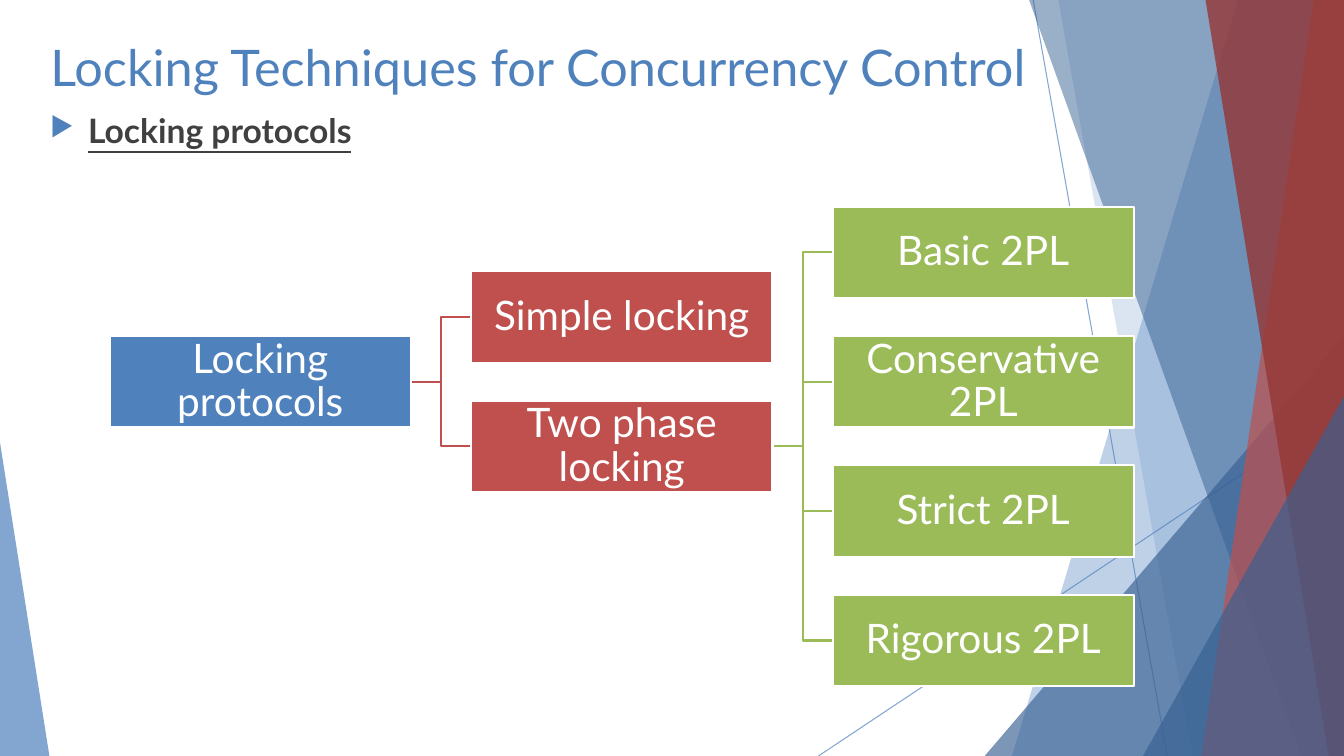
from lxml import etree
from pptx import Presentation
from pptx.dml.color import RGBColor
from pptx.enum.shapes import MSO_CONNECTOR as Connector, MSO_SHAPE as Shape
from pptx.enum.text import MSO_ANCHOR as Anchor, MSO_AUTO_SIZE as AutoSize, PP_ALIGN as Align
from pptx.oxml.ns import qn
from pptx.util import Pt

BLUE = RGBColor(0x4F, 0x81, 0xBD)
DARK_BLUE = RGBColor(0x37, 0x60, 0x92)
RED = RGBColor(0xC0, 0x50, 0x4D)
DARK_RED = RGBColor(0x95, 0x37, 0x35)
GREEN = RGBColor(0x9B, 0xBB, 0x59)
GRAY = RGBColor(0x40, 0x40, 0x40)
WHITE = RGBColor(0xFF, 0xFF, 0xFF)

WIDTH, HEIGHT = 960, 540
TREE_LEFT, TREE_TOP = 78.4, 147.6
COLUMN_PITCH, ROW_PITCH = 258.2, 92.4
BOX_WIDTH, BOX_HEIGHT = 215.2, 65.4


class SlideBuilder:
    font_name = "Lato"

    def __init__(self, slide):
        self.slide = slide
        self.shapes = slide.shapes

    def style_text(self, paragraph, size, color, align):
        paragraph.alignment = align
        font = paragraph.font
        font.name, font.size = self.font_name, Pt(size)
        font.color.rgb = color
        return font

    def set_opacity(self, shape, percent):
        for color in shape._element.spPr.iter(qn("a:srgbClr")):
            etree.SubElement(color, qn("a:alpha"), val=str(percent * 1000))

    def paint(self, shape, color, opacity):
        """Give a decorative shape a translucent fill without outline."""
        shape.shadow.inherit = False
        shape.fill.solid()
        shape.fill.fore_color.rgb = color
        shape.line.fill.background()
        self.set_opacity(shape, opacity)

    def band(self, top_x, bottom_x, color, opacity):
        """Fill from a slanted left edge to the right side of the slide."""
        builder = self.shapes.build_freeform(Pt(top_x), Pt(0))
        builder.add_line_segments(
            [(Pt(x), Pt(y)) for x, y in ((WIDTH, 0), (WIDTH, HEIGHT), (bottom_x, HEIGHT))])
        self.paint(builder.convert_to_shape(), color, opacity)

    def triangle(self, left, top, width, apex, color, opacity):
        """Stand a triangle on the bottom edge of the slide."""
        shape = self.shapes.add_shape(
            Shape.ISOSCELES_TRIANGLE, Pt(left), Pt(top), Pt(width), Pt(HEIGHT - top))
        shape.adjustments[0] = apex
        self.paint(shape, color, opacity)

    def connector(self, kind, start, end, color, width):
        line = self.shapes.add_connector(kind, *(Pt(value) for value in (*start, *end)))
        line.line.color.rgb = color
        line.line.width = Pt(width)
        etree.SubElement(line._element.spPr, qn("a:effectLst"))
        return line

    def hairline(self, start, end):
        self.set_opacity(self.connector(Connector.STRAIGHT, start, end, BLUE, 0.75), 70)

    def title(self, text):
        title = self.shapes.title
        title.left, title.top, title.width, title.height = Pt(28.8), Pt(22.3), Pt(781), Pt(103.7)
        frame = title.text_frame
        frame.text = text
        frame.auto_size = AutoSize.NONE
        frame.vertical_anchor = Anchor.TOP
        self.style_text(frame.paragraphs[0], 36, BLUE, Align.LEFT)

    def bullet(self, text):
        frame = self.shapes.add_textbox(Pt(28.8), Pt(74.9), Pt(808), Pt(421)).text_frame
        frame.word_wrap = True
        frame.text = text
        paragraph = frame.paragraphs[0]
        properties = paragraph._p.get_or_add_pPr()
        properties.set("marL", str(Pt(27)))
        properties.set("indent", str(-Pt(27)))
        bullet_color = etree.SubElement(properties, qn("a:buClr"))
        etree.SubElement(bullet_color, qn("a:srgbClr"), val=str(BLUE))
        etree.SubElement(properties, qn("a:buSzPct"), val="80000")
        etree.SubElement(properties, qn("a:buChar"), char="▶")
        font = self.style_text(paragraph, 24, GRAY, Align.JUSTIFY)
        font.bold = font.underline = True

    def box(self, text, column, row, color):
        shape = self.shapes.add_shape(
            Shape.RECTANGLE, Pt(TREE_LEFT + column * COLUMN_PITCH),
            Pt(TREE_TOP + row * ROW_PITCH), Pt(BOX_WIDTH), Pt(BOX_HEIGHT))
        shape.shadow.inherit = False
        shape.fill.solid()
        shape.fill.fore_color.rgb = color
        shape.line.color.rgb = WHITE
        shape.line.width = Pt(1.5)
        frame = shape.text_frame
        frame.word_wrap = True
        frame.vertical_anchor = Anchor.MIDDLE
        frame.margin_left = frame.margin_right = Pt(1.4)
        frame.margin_top = frame.margin_bottom = Pt(1.4)
        frame.text = text
        paragraph = frame.paragraphs[0]
        paragraph.line_spacing = 0.9
        self.style_text(paragraph, 29, WHITE, Align.CENTER)
        return shape

    def branch(self, parent, child, color):
        """Join two boxes with an elbow that lies behind the parent."""
        line = self.connector(Connector.ELBOW, (0, 0), (0, 0), color, 1.5)
        line.begin_connect(parent, 3)
        line.end_connect(child, 1)
        parent._element.addprevious(line._element)


def draw_backdrop(builder):
    builder.hairline((738, 0), (833.8, HEIGHT))
    builder.hairline((WIDTH, 290.2), (584.6, HEIGHT))
    builder.band(884.2, 722.9, BLUE, 36)
    builder.band(756, 851.8, BLUE, 20)
    builder.triangle(703.4, 239.8, 256.6, 1, DARK_BLUE, 66)
    builder.band(735.1, 929.5, DARK_BLUE, 50)
    builder.band(938.2, 858.2, RED, 70)
    builder.band(861.1, 949, DARK_RED, 80)
    builder.triangle(816.5, 283, 143.5, 1, DARK_BLUE, 66)
    builder.triangle(0, 316.1, 35.3, 0, BLUE, 70)


def draw_protocol_tree(builder):
    root = builder.box("Locking protocols", 0, 1, BLUE)
    simple = builder.box("Simple locking", 1, 0.5, RED)
    two_phase = builder.box("Two phase locking", 1, 1.5, RED)
    for child in (two_phase, simple):
        builder.branch(root, child, RED)
    for row, name in enumerate(("Basic", "Conservative", "Strict", "Rigorous")):
        variant = builder.box(f"{name} 2PL", 2, row, GREEN)
        builder.branch(two_phase, variant, GREEN)


def main():
    presentation = Presentation()
    presentation.slide_width, presentation.slide_height = Pt(WIDTH), Pt(HEIGHT)
    builder = SlideBuilder(presentation.slides.add_slide(presentation.slide_layouts[5]))
    draw_backdrop(builder)
    builder.title("Locking Techniques for Concurrency Control")
    builder.bullet("Locking protocols")
    draw_protocol_tree(builder)
    presentation.save("out.pptx")


if __name__ == "__main__":
    main()
